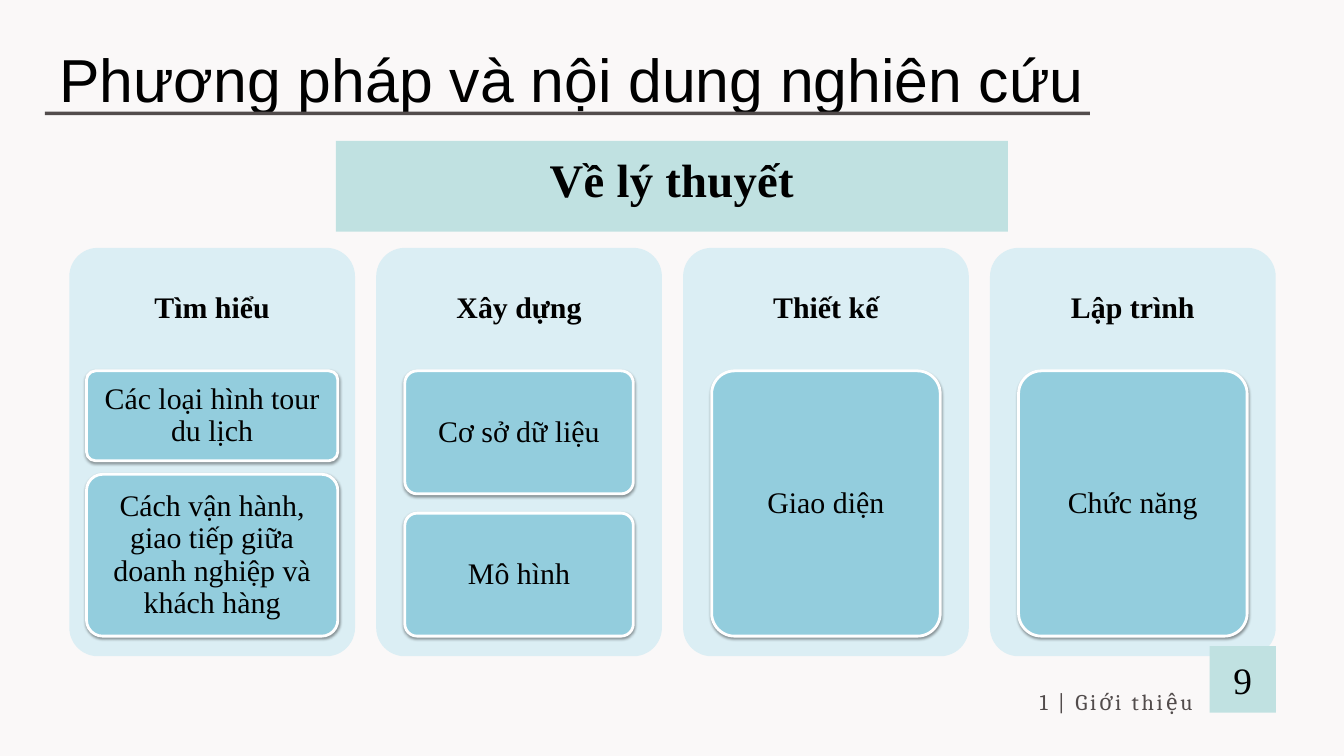
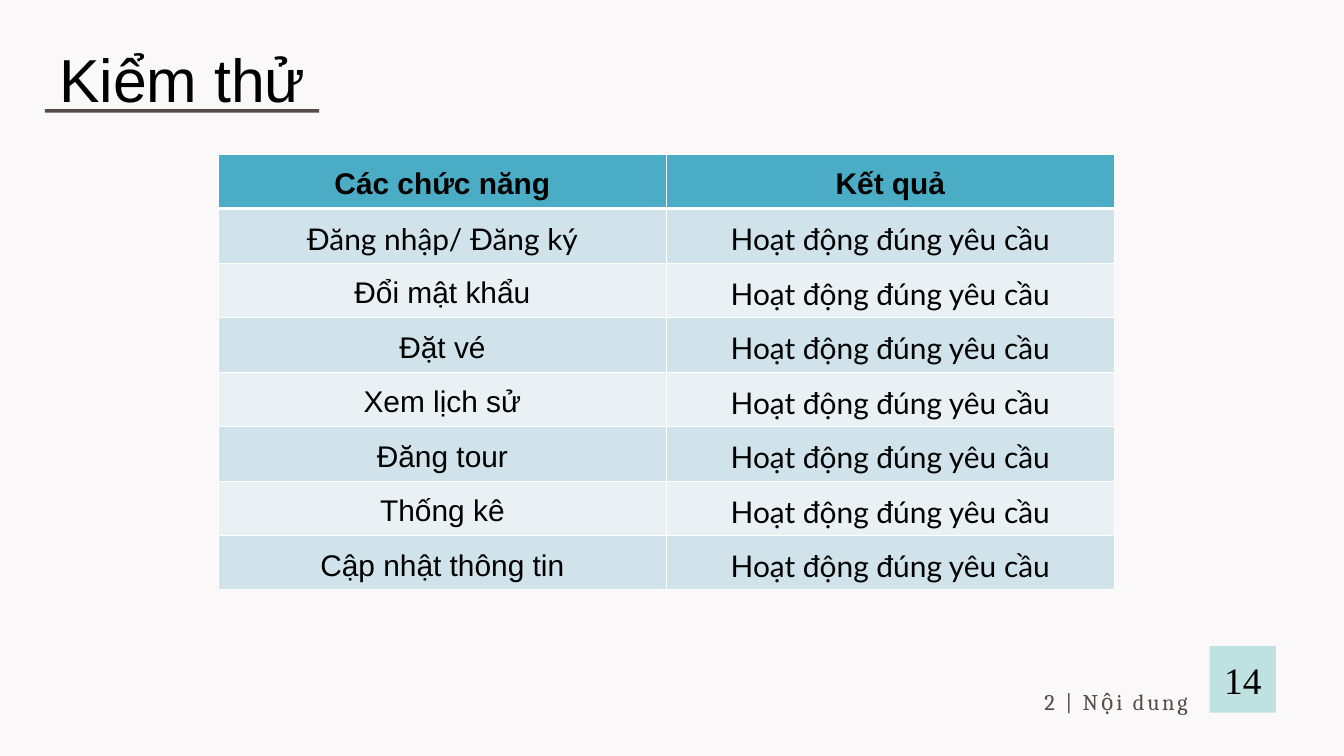
from dataclasses import dataclass

from lxml import etree
from pptx import Presentation
from pptx.dml.color import RGBColor
from pptx.enum import shapes, text
from pptx.oxml import ns
from pptx.util import Cm, Pt


@dataclass(frozen=True)
class Theme:
    page: str = "FAF8F8"
    ink: str = "000000"
    grey: str = "524C4C"
    mint: str = "C0E1E1"
    panel: str = "DBEEF4"
    card: str = "93CDDD"
    head: str = "4BACC6"
    bands: tuple = ("D0E3EA", "E9F1F5")
    white: str = "FFFFFF"
    sans: str = "Arial"
    serif: str = "Times New Roman"
    foot: str = "Cambria"
    cell: str = "Lato"
    title: int = 65
    band: int = 50
    page_no: int = 40
    body: int = 32
    small: int = 24


T = Theme()

# Content: heading, card width, gap, cards with their heights (cm)
METHOD = dict(title="Phương pháp và nội dung nghiên cứu", width=46.36,
              rule=(4.22, 39.5), page="9", foot="1 | Giới thiệu")
BAND = "Về lý thuyết"
COLUMNS = [
    ("Tìm hiểu", 9.5, 0.51, [
        ("Các loại hình tour du lịch", 3.4),
        ("Cách vận hành, giao tiếp giữa doanh nghiệp và khách hàng", 6.12)]),
    ("Xây dựng", 8.64, 0.73, [("Cơ sở dữ liệu", 4.65), ("Mô hình", 4.65)]),
    ("Thiết kế", 8.64, 0, [("Giao diện", 10.03)]),
    ("Lập trình", 8.64, 0, [("Chức năng", 10.03)]),
]
TESTS = dict(title="Kiểm thử", width=21.9, rule=(4.13, 10.36),
             page="14", foot="2 | Nội dung")
HEADS = ("Các chức năng", "Kết quả")
RESULT = "Hoạt động đúng yêu cầu"
CHECKS = [
    ("Đăng nhập/ Đăng ký", T.cell),
    ("Đổi mật khẩu", T.sans),
    ("Đặt vé", T.sans),
    ("Xem lịch sử", T.sans),
    ("Đăng tour", T.sans),
    ("Thống kê", T.sans),
    ("Cập nhật thông tin", T.sans),
]


# Helpers
def rgb(code):
    return RGBColor.from_string(code)


def write(frame, words, size, font, color=T.ink, bold=False, center=True,
          lead=None, track=0):
    frame.text = words
    para = frame.paragraphs[0]
    para.alignment = text.PP_ALIGN.CENTER if center else text.PP_ALIGN.LEFT
    if lead:
        para.line_spacing = lead
    run = para.runs[0]
    run.font.size, run.font.name, run.font.bold = Pt(size), font, bold
    run.font.color.rgb = rgb(color)
    if track:
        run._r.get_or_add_rPr().set("spc", str(track))


def setup(frame, pad_x=0.0, pad_y=0.0, middle=False):
    frame.word_wrap = True
    frame.auto_size = text.MSO_AUTO_SIZE.NONE
    frame.margin_left = frame.margin_right = Cm(pad_x)
    frame.margin_top = frame.margin_bottom = Cm(pad_y)
    anchor = text.MSO_ANCHOR
    frame.vertical_anchor = anchor.MIDDLE if middle else anchor.TOP
    return frame


def block(slide, box, color, curved=False):
    kind = shapes.MSO_SHAPE
    shape = slide.shapes.add_shape(
        kind.ROUNDED_RECTANGLE if curved else kind.RECTANGLE, *map(Cm, box))
    if curved:
        shape.adjustments[0] = 0.1
    shape.shadow.inherit = False
    shape.fill.solid()
    shape.fill.fore_color.rgb = rgb(color)
    shape.line.fill.background()
    return shape


def label(slide, box, **pads):
    return setup(slide.shapes.add_textbox(*map(Cm, box)).text_frame, **pads)


def node(parent, tag, **attrs):
    return etree.SubElement(parent, ns.qn(tag), attrs)


def shade(shape):
    effects = shape._element.spPr.find(ns.qn("a:effectLst"))
    outer = node(effects, "a:outerShdw", blurRad=str(Pt(3.1)),
                 dist=str(Pt(1.6)), dir="5400000", rotWithShape="0")
    color = node(outer, "a:srgbClr", val=T.ink)
    node(color, "a:alpha", val="38000")


def edge(cell, side, width):
    line = node(cell._tc.get_or_add_tcPr(), "a:ln" + side, w=str(Pt(width)))
    node(node(line, "a:solidFill"), "a:srgbClr", val=T.white)


# Shared frame
def start(prs, info):
    slide = prs.slides.add_slide(prs.slide_layouts[5])
    title = slide.shapes.title
    title.left, title.top = Cm(2.24), Cm(1.42)
    title.width, title.height = Cm(info["width"]), Cm(2.74)
    write(setup(title.text_frame), info["title"], T.title, T.sans,
          center=False, lead=Pt(82.5))
    top, width = info["rule"]
    block(slide, (1.7, top, width, 0.13), T.grey)
    return slide


def finish(slide, info):
    badge = block(slide, (45.72, 24.43, 2.51, 2.51), T.mint)
    write(setup(badge.text_frame, middle=True), info["page"],
          T.page_no, T.serif)
    write(label(slide, (33.6, 25.86, 17.18, 1.12)), info["foot"], T.small,
          T.foot, color=T.grey, lead=Pt(33.6), track=290)


# Slide with the four method columns
def method(prs):
    slide = start(prs, METHOD)
    band = block(slide, (12.7, 5.33, 25.4, 3.43), T.mint)
    write(setup(band.text_frame, 0.25, 0.13, True), BAND, T.band, T.serif,
          bold=True, lead=Pt(45), track=30)
    left, top, wide, step = 2.62, 9.37, 10.8, 11.6
    for i, (head, width, gap, cards) in enumerate(COLUMNS):
        x = left + i * step
        block(slide, (x, top, wide, 15.44), T.panel, curved=True)
        write(label(slide, (x, top, wide, 4.63), pad_x=0.33, pad_y=0.33,
                    middle=True), head, T.body, T.serif, bold=True, lead=0.9)
        y = top + 4.65
        for words, height in cards:
            card = block(slide, (x + (wide - width) / 2, y, width, height),
                         T.card, curved=True)
            card.line.color.rgb = rgb(T.white)
            card.line.width = Pt(3)
            shade(card)
            write(setup(card.text_frame, 0.23, 0.18, True), words,
                  T.body, T.serif, lead=0.9)
            y += height + gap
    finish(slide, METHOD)


# Slide with the test results
def tests(prs):
    slide = start(prs, TESTS)
    rows = [[(head, T.sans) for head in HEADS]]
    rows += [[check, (RESULT, T.cell)] for check in CHECKS]
    high, wide = 2.06, 16.93
    grid = slide.shapes.add_table(
        len(rows), len(HEADS), Cm(8.26), Cm(5.82),
        Cm(wide * len(HEADS)), Cm(high * len(rows))).table
    for col in grid.columns:
        col.width = Cm(wide)
    for r, row in enumerate(rows):
        grid.rows[r].height = Cm(high)
        for c, (words, font) in enumerate(row):
            cell = grid.cell(r, c)
            for side in "LRTB":
                thick = (r, side) in ((0, "B"), (1, "T"))
                edge(cell, side, 3 if thick else 1)
            cell.fill.solid()
            cell.fill.fore_color.rgb = rgb(T.bands[(r - 1) % 2] if r else T.head)
            cell.vertical_anchor = text.MSO_ANCHOR.MIDDLE
            write(cell.text_frame, words, T.body, font, bold=r == 0, lead=1.2)
            cell.text_frame.paragraphs[0].space_after = Pt(6)
    finish(slide, TESTS)


def main():
    prs = Presentation()
    prs.slide_width, prs.slide_height = Cm(50.8), Cm(28.58)
    back = prs.slide_master.background.fill
    back.solid()
    back.fore_color.rgb = rgb(T.page)
    method(prs)
    tests(prs)
    prs.save("out.pptx")


if __name__ == "__main__":
    main()
